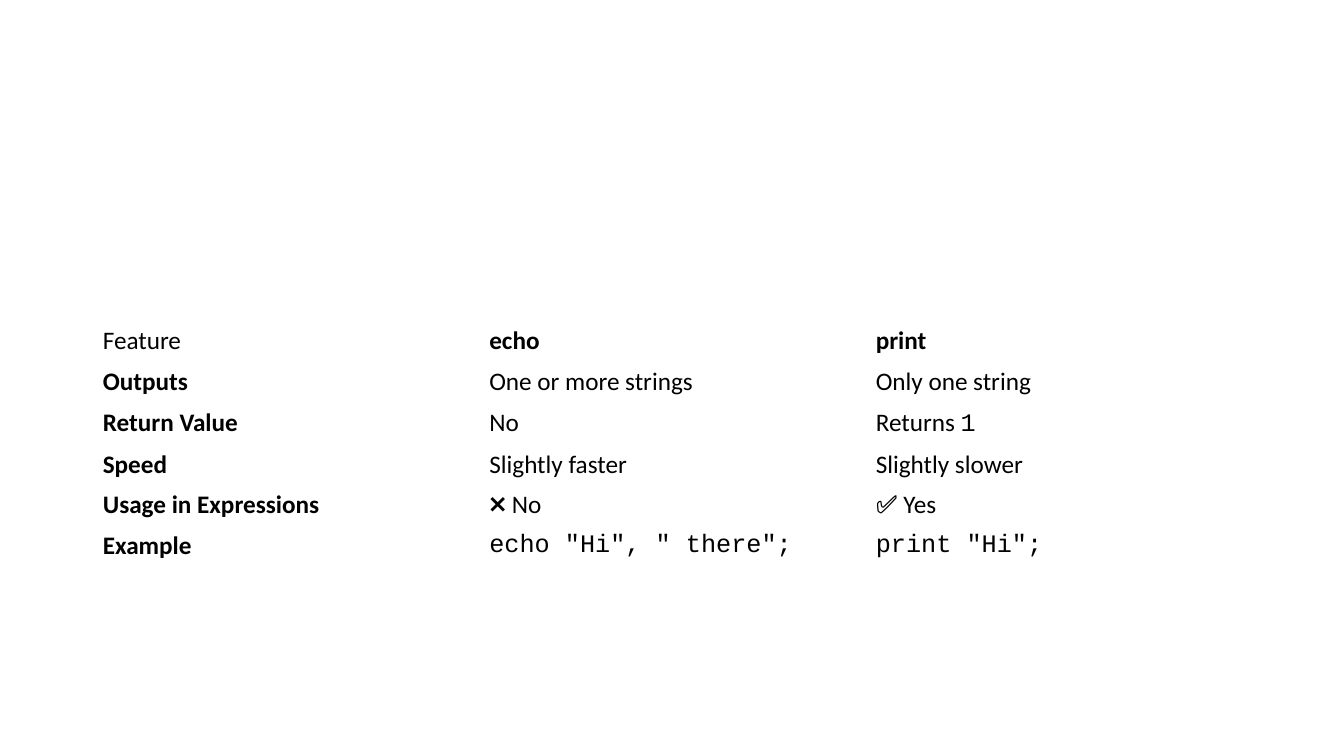
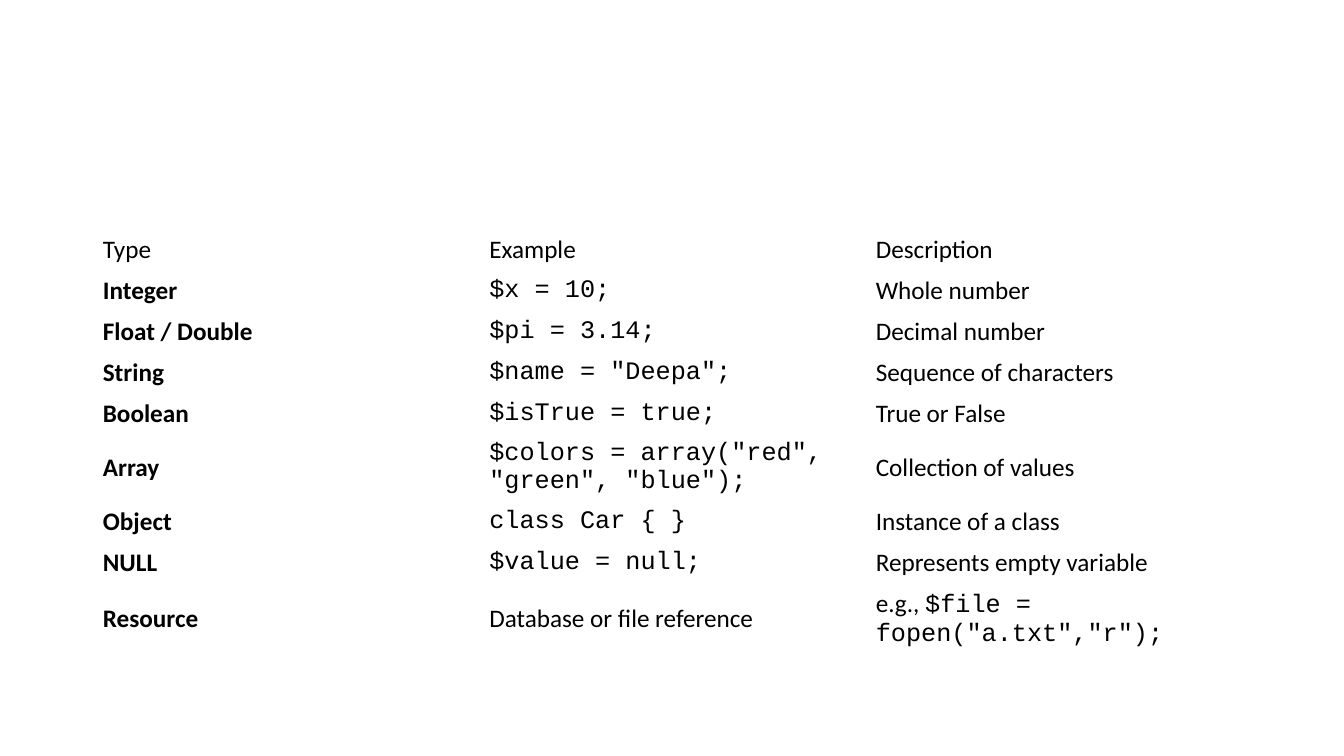
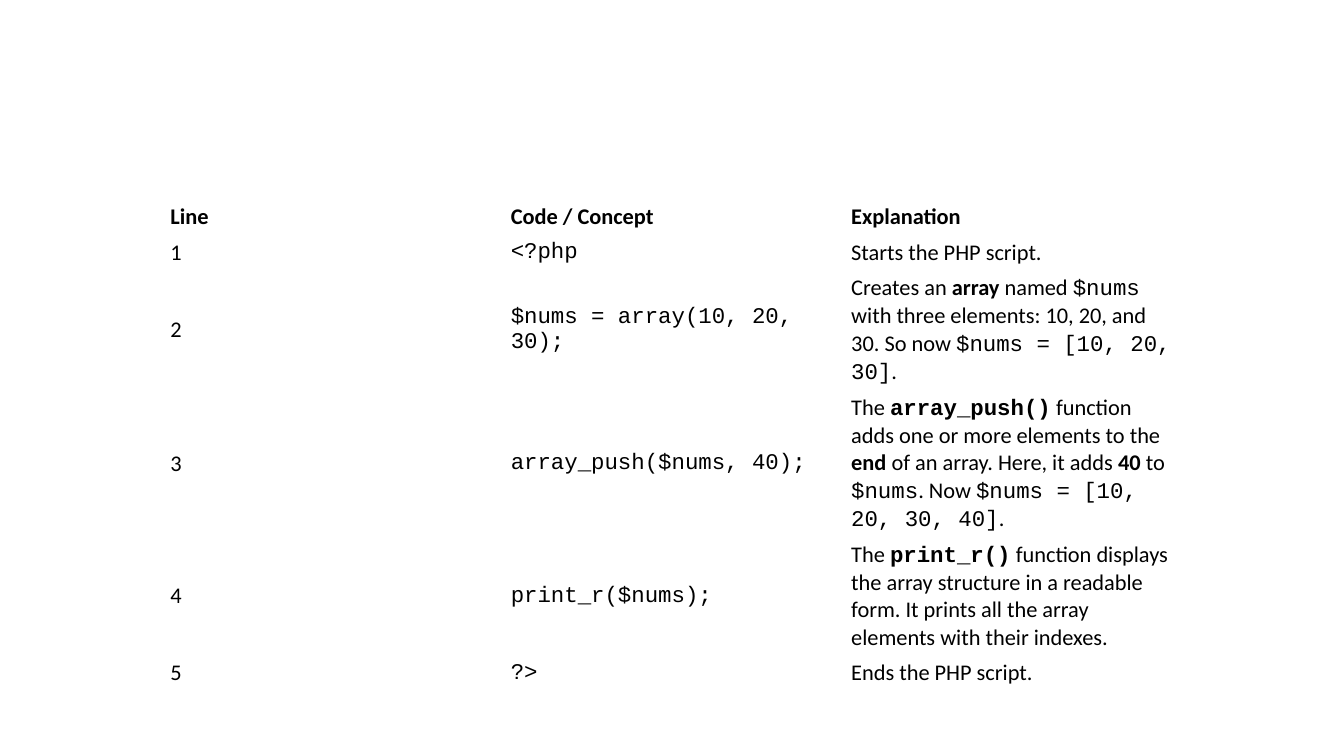
from dataclasses import dataclass

from pptx import Presentation
from pptx.dml.color import RGBColor
from pptx.enum.text import MSO_ANCHOR
from pptx.util import Inches, Pt

MIDDLE = MSO_ANCHOR.MIDDLE
BLANK = 6


@dataclass(frozen=True)
class Theme:
    ink: RGBColor = RGBColor(0, 0, 0)
    body: str = "Calibri"
    code: str = "Courier New"
    large: int = 18
    small: int = 16


THEME = Theme()

# Cell markup: `code` and *bold*
OUTPUT = [
    ["Feature", "*echo*", "*print*"],
    ["*Outputs*", "One or more strings", "Only one string"],
    ["*Return Value*", "No", "Returns `1`"],
    ["*Speed*", "Slightly faster", "Slightly slower"],
    ["*Usage in Expressions*", "❌ No", "✅ Yes"],
    ["*Example*", '`echo "Hi", " there";`', '`print "Hi";`'],
]

TYPES = [
    ["Type", "Example", "Description"],
    ["*Integer*", "`$x = 10;`", "Whole number"],
    ["*Float / Double*", "`$pi = 3.14;`", "Decimal number"],
    ["*String*", '`$name = "Deepa";`', "Sequence of characters"],
    ["*Boolean*", "`$isTrue = true;`", "True or False"],
    ["*Array*", '`$colors = array("red", "green", "blue");`',
     "Collection of values"],
    ["*Object*", "`class Car { }`", "Instance of a class"],
    ["*NULL*", "`$value = null;`", "Represents empty variable"],
    ["*Resource*", "Database or file reference",
     'e.g., `$file = fopen("a.txt","r");`'],
]

SCRIPT = [
    ["*Line*", "*Code / Concept*", "*Explanation*"],
    ["1", "`<?php`", "Starts the PHP script."],
    ["2", "`$nums = array(10, 20, 30);`",
     "Creates an *array* named `$nums` with three elements: 10, 20, and 30. "
     "So now `$nums = [10, 20, 30]`."],
    ["3", "`array_push($nums, 40);`",
     "The *`array_push()`* function adds one or more elements to the *end* "
     "of an array. Here, it adds *40* to `$nums`. "
     "Now `$nums = [10, 20, 30, 40]`."],
    ["4", "`print_r($nums);`",
     "The *`print_r()`* function displays the array structure in a readable "
     "form. It prints all the array elements with their indexes."],
    ["5", "`?>`", "Ends the PHP script."],
]


def write(para, text, size):
    """Turn marked-up text into formatted runs."""
    bold = False
    for i, part in enumerate(text.split("`")):
        for j, piece in enumerate(part.split("*")):
            if j:
                bold = not bold
            if not piece:
                continue
            run = para.add_run()
            run.text = piece
            font = run.font
            font.name = THEME.code if i % 2 else THEME.body
            font.size = Pt(size)
            font.bold = bold
            font.color.rgb = THEME.ink


def add_grid(slide, data, box, heights, size, pad):
    """Place an unfilled table with equal columns in box (left, top, width)."""
    left, top, width = box
    cols = len(data[0])
    table = slide.shapes.add_table(
        len(data), cols, Inches(left), Inches(top),
        Inches(width), Inches(sum(heights))).table
    table.first_row = table.horz_banding = False
    # Column and row sizes
    for col in table.columns:
        col.width = Inches(width / cols)
    for row, height in zip(table.rows, heights):
        row.height = Inches(height)
    # Cells
    side, edge = (Inches(p) for p in pad)
    for r, line in enumerate(data):
        for c, text in enumerate(line):
            cell = table.cell(r, c)
            cell.fill.background()
            cell.vertical_anchor = MIDDLE
            cell.margin_left = cell.margin_right = side
            cell.margin_top = cell.margin_bottom = edge
            write(cell.text_frame.paragraphs[0], text, size)


def main():
    deck = Presentation()
    deck.slide_width, deck.slide_height = Inches(13.33), Inches(7.5)
    wide, tight = (0.1, 0.05), (0.09, 0.04)
    one, two = 0.4, 0.67
    grids = [
        (OUTPUT, (0.92, 3.18, 11.5), [one] * 6, THEME.large, wide),
        (TYPES, (0.92, 2.28, 11.5), [one] * 5 + [two, one, one, two],
         THEME.large, wide),
        (SCRIPT, (1.6, 1.98, 10.13), [0.35, 0.35, 1.15, 1.41, 1.15, 0.35],
         THEME.small, tight),
    ]
    for grid in grids:
        add_grid(deck.slides.add_slide(deck.slide_layouts[BLANK]), *grid)
    deck.save("out.pptx")


if __name__ == "__main__":
    main()
